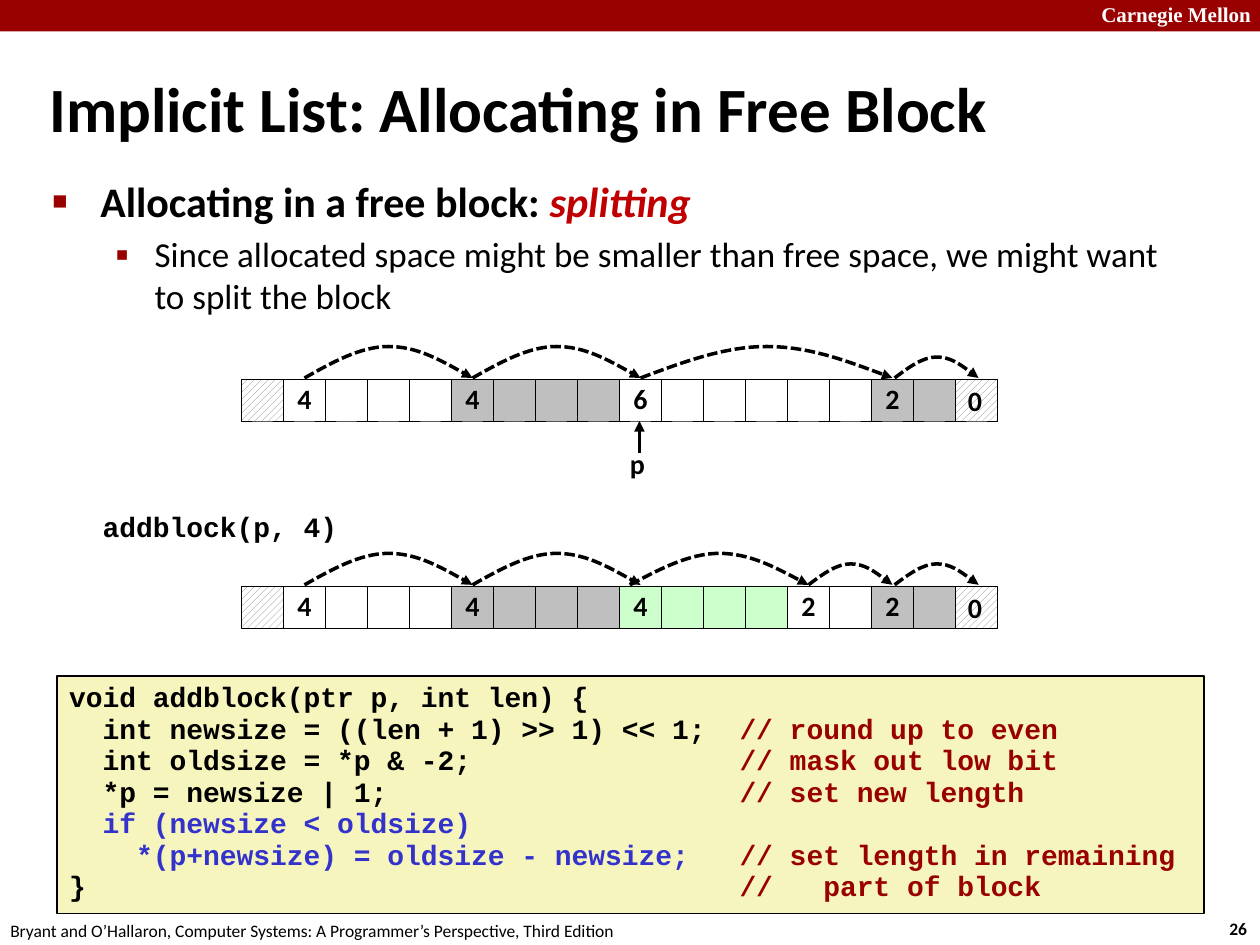
from lxml.etree import SubElement
from pptx import Presentation
from pptx.dml.color import RGBColor
from pptx.enum.dml import MSO_LINE, MSO_PATTERN
from pptx.enum.shapes import MSO_CONNECTOR, MSO_SHAPE
from pptx.enum.text import MSO_ANCHOR, MSO_AUTO_SIZE, PP_ALIGN
from pptx.oxml.ns import qn
from pptx.util import Inches, Pt

COLOURS = {
    "black": "000000", "white": "FFFFFF", "crimson": "990000", "red": "C00000",
    "blue": "3333CC", "cream": "F6F5BD", "grey": "BFBFBF", "silver": "C0C0C0",
    "green": "CCFFCC", "hatch": "808080",
}
RGB = {name: RGBColor.from_string(value) for name, value in COLOURS.items()}

deck = Presentation()
deck.slide_width, deck.slide_height = Inches(10), Inches(7.5)
unit = deck.slide_width / 120
page = deck.slides.add_slide(deck.slide_layouts[1])
shapes = page.shapes


def grid(*lengths):
    return [round(length * unit) for length in lengths]


def write(box, lines, frame_format, para_format, font_format):
    frame = box.text_frame
    for name, value in ({"auto_size": MSO_AUTO_SIZE.NONE} | frame_format).items():
        setattr(frame, name, value)
    for number, spans in enumerate(lines):
        para = frame.add_paragraph() if number else frame.paragraphs[0]
        for name, value in para_format.items():
            setattr(para, name, value)
        for text, colour in spans:
            span = para.add_run()
            span.text = text
            span.font.color.rgb = RGB[colour]
            for name, value in font_format.items():
                setattr(span.font, name, value)


label_font = {"name": "Calibri", "size": Pt(16), "bold": True}
code_font = label_font | {"name": "Courier New"}
small_font = {"name": "Calibri", "size": Pt(10)}

banner = shapes.add_shape(MSO_SHAPE.RECTANGLE, *grid(0, 0, 120, 3))
banner.shadow.inherit = False
banner.fill.solid()
banner.fill.fore_color.rgb = RGB["crimson"]
banner.line.fill.background()

title, body = shapes.title, page.placeholders[1]
title.left, title.top, title.width, title.height = grid(3.5, 6.5, 113, 7.5)
body.left, body.top, body.width, body.height = grid(3.8, 16.1, 109.1, 68.5)
write(title, [[("Implicit List: Allocating in Free Block", "black")]],
      {"vertical_anchor": MSO_ANCHOR.MIDDLE}, {"alignment": PP_ALIGN.LEFT},
      {"name": "Calibri", "size": Pt(36), "bold": True})
write(body, [
    [("Allocating in a free block: ", "black"), ("splitting", "red")],
    [("Since allocated space might be smaller than free space, "
      "we might want to split the block", "black")],
], {}, {"space_before": Pt(0)}, {"name": "Calibri", "size": Pt(24), "bold": True})
heading, detail = body.text_frame.paragraphs
heading.runs[1].font.italic = True
detail.level = 1
detail.space_before = Pt(4)
for name, value in {"size": Pt(20), "bold": False}.items():
    setattr(detail.runs[0].font, name, value)
for para, symbol, percent, margin, hang in (
    (heading, "■", 60, 0.38, 0.38), (detail, "▪", 110, 0.81, 0.31),
):
    settings = para._p.get_or_add_pPr()
    settings.set("marL", str(Inches(margin)))
    settings.set("indent", str(-Inches(hang)))
    SubElement(SubElement(settings, qn("a:buClr")), qn("a:srgbClr"), val=COLOURS["crimson"])
    SubElement(settings, qn("a:buSzPct"), val=str(percent * 1000))
    SubElement(settings, qn("a:buChar"), char=symbol)

for place, text, colour, spacing, font in (
    ((103.7, -0.4, 17.2, 3.6), "Carnegie Mellon", "white", 1.0,
     {"name": "Times New Roman", "size": Pt(12), "bold": True}),
    ((115.9, 86.8, 4.4, 3.2), "26", "black", 1.0, small_font | {"bold": True}),
    ((-0.2, 87, 61, 3.2),
     "Bryant and O’Hallaron, Computer Systems: A Programmer’s Perspective, Third Edition",
     "black", 1.0, small_font),
    ((58.8, 42.1, 3.8, 4.4), "p", "black", 0.98, label_font),
    ((8.6, 48.4, 24.7, 4), "addblock(p, 4)", "black", 0.85, code_font),
):
    box = shapes.add_textbox(*grid(*place))
    write(box, [[(text, colour)]], {"word_wrap": False}, {"line_spacing": spacing}, font)

first_column, cell = 23, 4
strips = (
    (36.1,
     ((1, "hatch", ""), (4, "white", "4"), (4, "grey", "4"), (6, "white", "6"),
      (2, "silver", "2"), (1, "hatch", "0")),
     ((1, 5, 3), (5, 9, 3), (9, 15, 3), (15.05, 17.05, 2))),
    (55.8,
     ((1, "hatch", ""), (4, "white", "4"), (4, "grey", "4"), (4, "green", "4"),
      (2, "white", "2"), (2, "silver", "2"), (1, "hatch", "0")),
     ((1, 5, 3), (5, 9, 3), (8.75, 13, 3), (13, 15, 2), (15.05, 17.05, 2))),
)
arc_points = ((1 / 6, 0.5), (1 / 3, 0), (0.5, 0), (2 / 3, 0), (5 / 6, 0.5), (1, 1))
for top, blocks, hops in strips:
    position = first_column
    for count, colour, label in blocks:
        for index in range(count):
            word = shapes.add_shape(MSO_SHAPE.RECTANGLE, *grid(position, top, cell, cell))
            word.shadow.inherit = False
            word.line.color.rgb = RGB["black"]
            word.line.width = Pt(0.25)
            if colour == "hatch":
                word.fill.patterned()
                word.fill.pattern = MSO_PATTERN.WIDE_UPWARD_DIAGONAL
                word.fill.back_color.rgb = RGB["white"]
            else:
                word.fill.solid()
            word.fill.fore_color.rgb = RGB[colour]
            if label and index == 0:
                write(word, [[(label, "black")]],
                      {"word_wrap": False, "vertical_anchor": MSO_ANCHOR.MIDDLE},
                      {"alignment": PP_ALIGN.LEFT if colour == "hatch" else PP_ALIGN.CENTER,
                       "line_spacing": 1.0 if colour == "hatch" else 0.98}, label_font)
            position += cell
    for start, end, height in hops:
        left = first_column + (start + 0.5) * cell
        width = (end - start) * cell
        peak = top - 0.1 - height
        builder = shapes.build_freeform(*grid(left, peak + height))
        builder.add_line_segments(
            [grid(left + across * width, peak + down * height) for across, down in arc_points],
            close=False)
        arc = builder.convert_to_shape()
        arc.shadow.inherit = False
        arc.fill.background()
        arc.line.color.rgb = RGB["black"]
        arc.line.width = Pt(2)
        arc.line.dash_style = MSO_LINE.SQUARE_DOT
        SubElement(arc.line._get_or_add_ln(), qn("a:tailEnd"), type="triangle")
        segments = list(arc._element.iter(qn("a:lnTo")))
        outline = segments[0].getparent()
        for half in (segments[:3], segments[3:]):
            curve = SubElement(outline, qn("a:cubicBezTo"))
            for segment in half:
                curve.append(segment[0])
                outline.remove(segment)

pointer = shapes.add_connector(MSO_CONNECTOR.STRAIGHT, *grid(60.9, 43.1, 60.9, 40.1))
pointer.line.color.rgb = RGB["black"]
pointer.line.width = Pt(2)
SubElement(pointer.line._get_or_add_ln(), qn("a:tailEnd"), type="triangle")
SubElement(pointer._element.spPr, qn("a:effectLst"))

code_lines = (
    ("void addblock(ptr p, int len) {", "black", ""),
    ("  int newsize = ((len + 1) >> 1) << 1;", "black", "// round up to even"),
    ("  int oldsize = *p & -2;", "black", "// mask out low bit"),
    ("  *p = newsize | 1;", "black", "// set new length"),
    ("  if (newsize < oldsize)", "blue", ""),
    ("    *(p+newsize) = oldsize - newsize;", "blue", "// set length in remaining"),
    ("}", "black", "//   part of block"),
)
listing = shapes.add_shape(MSO_SHAPE.RECTANGLE, *grid(5.4, 64.4, 109.3, 22.6))
listing.shadow.inherit = False
listing.fill.solid()
listing.fill.fore_color.rgb = RGB["cream"]
listing.line.color.rgb = RGB["black"]
listing.line.width = Pt(1)
write(listing,
      [[(f"{code:<40}", colour), (comment, "crimson")] if comment else [(code, colour)]
       for code, colour, comment in code_lines],
      {"word_wrap": True, "vertical_anchor": MSO_ANCHOR.TOP},
      {"alignment": PP_ALIGN.LEFT, "line_spacing": 0.94}, code_font)

deck.save("out.pptx")
